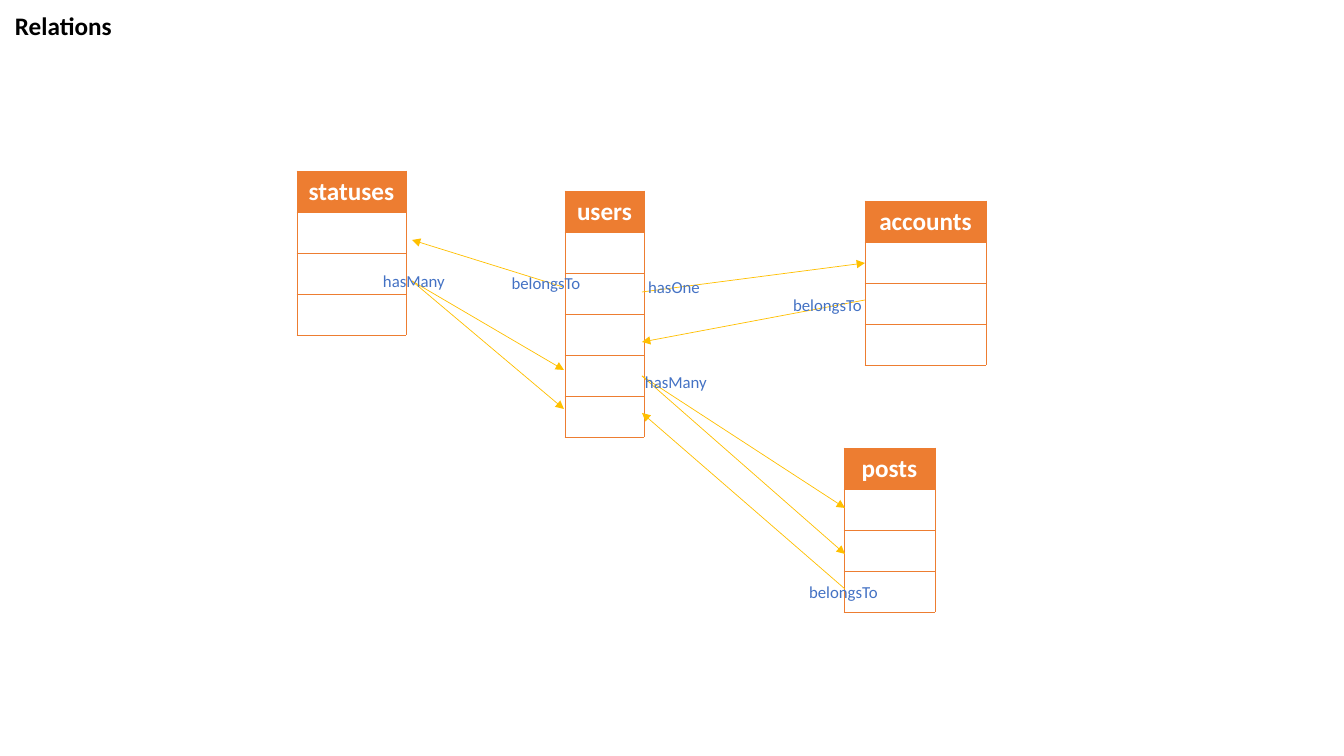
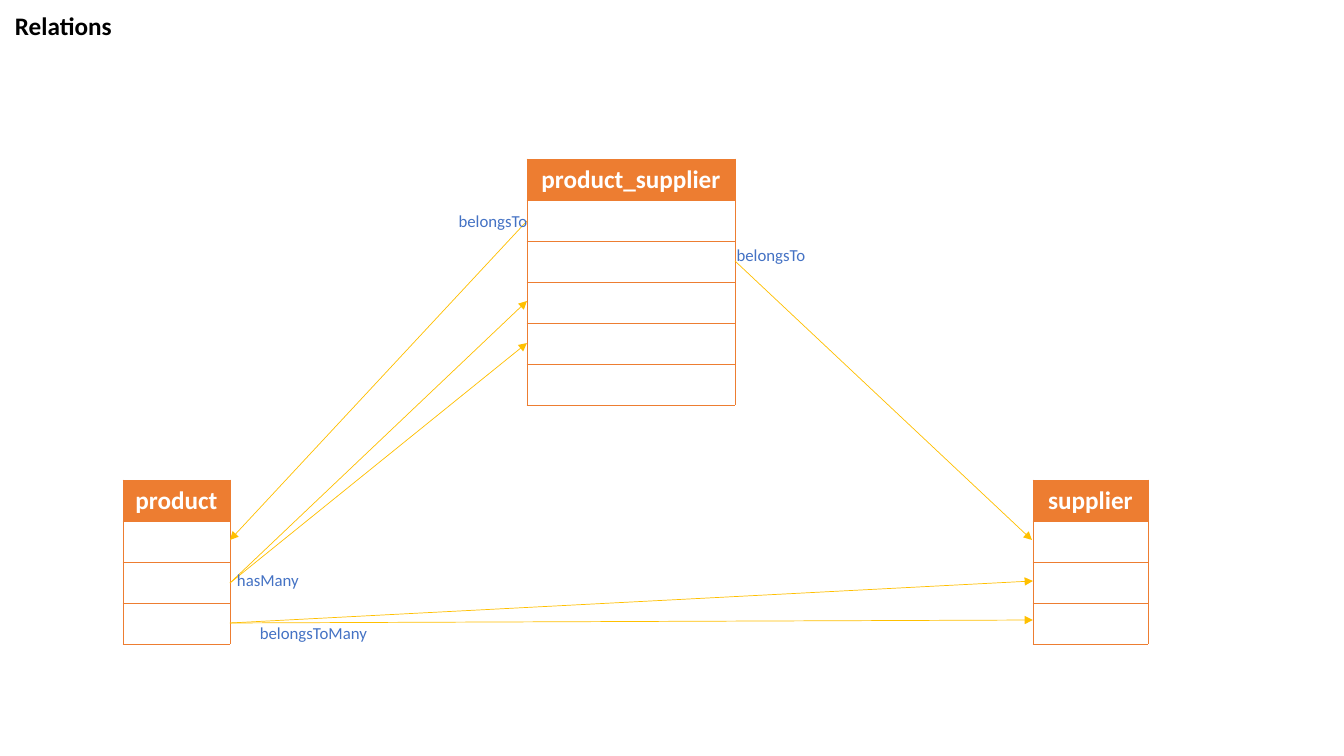
from lxml import etree
from pptx import Presentation
from pptx import util as u
from pptx.dml import color
from pptx.enum import dml, shapes, text
from pptx.oxml import ns

# Shared look; every length below is in px
EMU_PER_PX = 914400 / 100.8
FONT = "Calibri"
BLACK, WHITE = "000000", "FFFFFF"
ORANGE, GOLD, BLUE = "ED7D31", "FFC000", "4472C4"
HAIRLINE = u.Pt(0.5)
ROW_HEIGHT = 41
LABEL_HEIGHT = 40
SLIDE_SIZE = (1344, 756)
TITLE_BOX = (5, 5, 118, 40)

# Table: (name, left, top, width, empty rows)
# Relation: (label, (left, top, width) of the label, start, ends)
DIAGRAMS = [
    {
        "tables": [
            ("users", 565, 191, 79, 5),
            ("accounts", 865, 201, 121, 3),
            ("posts", 844, 448, 91, 3),
            ("statuses", 297, 171, 109, 3),
        ],
        "relations": [
            ("hasOne", (637, 267, 74), (642, 292), [(865, 263)]),
            ("belongsTo", (782, 285, 91), (865, 300), [(642, 342)]),
            ("hasMany", (631, 362, 90), (642, 376), [(845, 508), (845, 554)]),
            ("belongsTo", (798, 572, 91), (845, 589), [(642, 413)]),
            ("belongsTo", (501, 263, 90), (563, 287), [(412, 240)]),
            ("hasMany", (368, 261, 92), (412, 281), [(564, 370), (564, 409)]),
        ],
    },
    {
        "tables": [
            ("product_supplier", 527, 159, 208, 5),
            ("supplier", 1033, 480, 115, 3),
            ("product", 123, 480, 107, 3),
        ],
        "relations": [
            ("belongsTo", (448, 201, 90), (527, 221), [(230, 540)]),
            ("belongsTo", (726, 235, 90), (735, 261), [(1032, 540)]),
            ("belongsToMany", (248, 613, 131), (230, 623), [(1033, 581), (1033, 620)]),
            ("hasMany", (223, 560, 90), (230, 583), [(527, 301), (527, 343)]),
        ],
    },
]


def px(*lengths):
    return [round(length * EMU_PER_PX) for length in lengths]


def rgb(hex_code):
    return color.RGBColor.from_string(hex_code)


def style_font(paragraph, size, hex_code, bold=False):
    font = paragraph.font
    font.name, font.size, font.bold = FONT, u.Pt(size), bold
    font.color.rgb = rgb(hex_code)


def add_title(slide, title):
    frame = slide.shapes.add_textbox(*px(*TITLE_BOX)).text_frame
    frame.word_wrap = False
    frame.auto_size = text.MSO_AUTO_SIZE.SHAPE_TO_FIT_TEXT
    frame.text = title
    style_font(frame.paragraphs[0], 18, BLACK, bold=True)


def outline_cell(cell, hex_code):
    # Borders come before the fill in a cell's properties
    properties = cell._tc.get_or_add_tcPr()
    for index, side in enumerate(("a:lnL", "a:lnR", "a:lnT", "a:lnB")):
        border = etree.Element(ns.qn(side), w=str(HAIRLINE))
        fill = etree.SubElement(border, ns.qn("a:solidFill"))
        etree.SubElement(fill, ns.qn("a:srgbClr"), val=hex_code)
        properties.insert(index, border)


def add_entity(slide, name, left, top, width, empty_rows):
    row_count = empty_rows + 1
    box = px(left, top, width, ROW_HEIGHT * row_count)
    entity = slide.shapes.add_table(row_count, 1, *box).table
    entity.horz_banding = entity.first_row = False
    for cell in entity.iter_cells():
        cell.fill.background()
        outline_cell(cell, ORANGE)

    # Header with the table's name
    header = entity.cell(0, 0)
    header.fill.solid()
    header.fill.fore_color.rgb = rgb(ORANGE)
    header.margin_left = header.margin_right = 0
    header.text = name
    heading = header.text_frame.paragraphs[0]
    heading.alignment = text.PP_ALIGN.CENTER
    style_font(heading, 18, WHITE, bold=True)


def add_arrow(slide, start, end):
    arrow = slide.shapes.add_connector(
        shapes.MSO_CONNECTOR.STRAIGHT, *px(*start, *end))
    arrow.line.color.rgb = rgb(GOLD)
    arrow.line.width = HAIRLINE
    arrow.line.dash_style = dml.MSO_LINE.SOLID
    etree.SubElement(arrow.line._get_or_add_ln(), ns.qn("a:tailEnd"), type="triangle")
    etree.SubElement(arrow._element.spPr, ns.qn("a:effectLst"))


def add_relation(slide, label, label_box, start, ends):
    for end in ends:
        add_arrow(slide, start, end)

    # Label centred in its box
    frame = slide.shapes.add_textbox(*px(*label_box, LABEL_HEIGHT)).text_frame
    frame.word_wrap = True
    frame.margin_left = frame.margin_right = 0
    frame.vertical_anchor = text.MSO_ANCHOR.MIDDLE
    frame.text = label
    caption = frame.paragraphs[0]
    caption.alignment = text.PP_ALIGN.CENTER
    style_font(caption, 12, BLUE)


def add_diagram_slide(deck, tables, relations):
    slide = deck.slides.add_slide(deck.slide_layouts[6])
    add_title(slide, "Relations")
    for table in tables:
        add_entity(slide, *table)
    for relation in relations:
        add_relation(slide, *relation)


def main():
    deck = Presentation()
    deck.slide_width, deck.slide_height = px(*SLIDE_SIZE)
    for diagram in DIAGRAMS:
        add_diagram_slide(deck, **diagram)
    deck.save("out.pptx")


if __name__ == "__main__":
    main()
